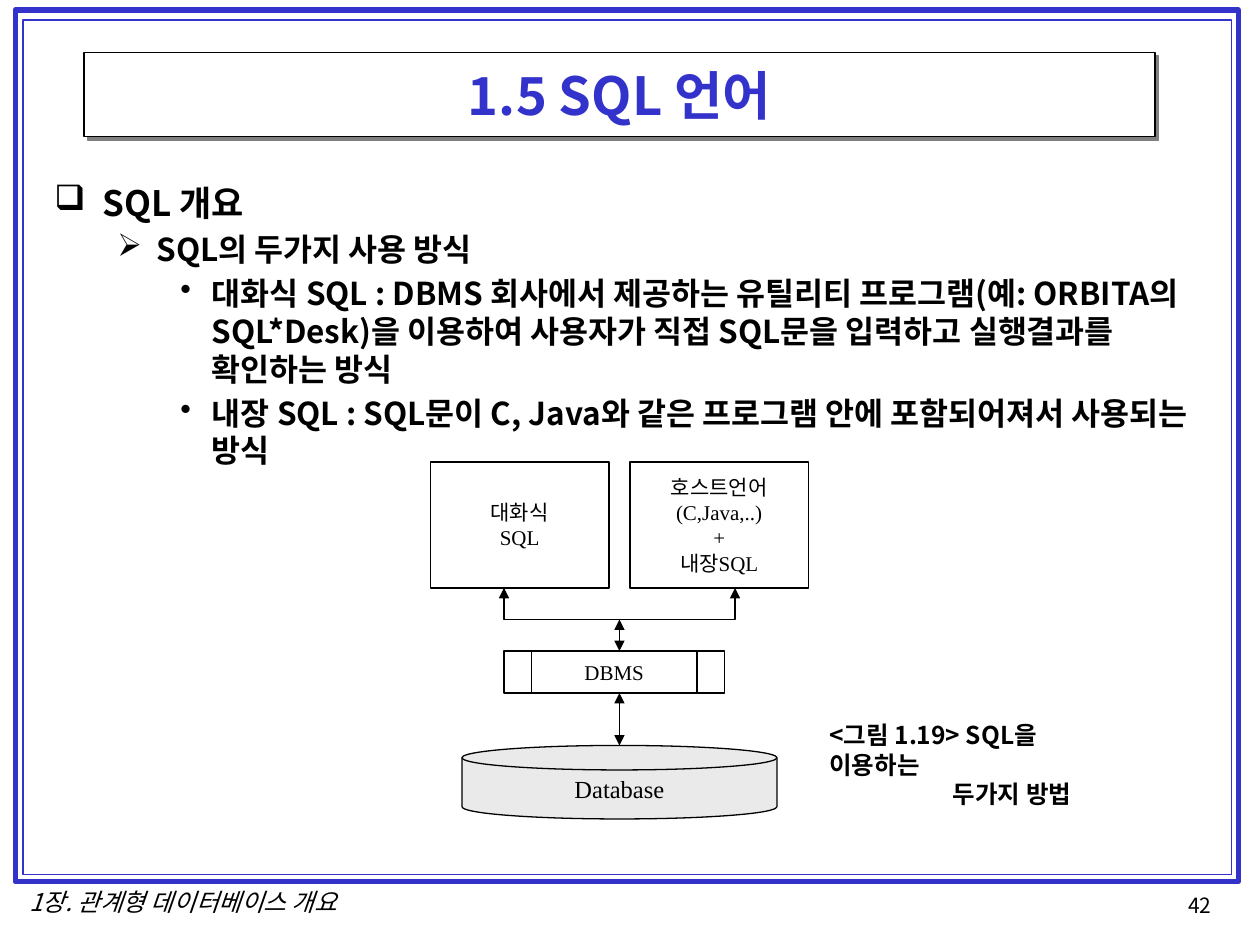
from dataclasses import dataclass
from typing import NamedTuple

from lxml.etree import SubElement
from pptx import Presentation
from pptx.dml.color import RGBColor
from pptx.enum.shapes import MSO_CONNECTOR as Link, MSO_SHAPE as Kind
from pptx.enum.text import MSO_ANCHOR as Anchor, PP_ALIGN as Align
from pptx.oxml.ns import qn
from pptx.util import Emu, Inches, Pt

UNIT = Inches(10) // 120  # the slide is a grid of 120 columns by 90 rows


@dataclass(frozen=True)
class Theme:
    blue: str = "3333CC"
    black: str = "000000"
    white: str = "FFFFFF"
    pale: str = "EAEAEA"
    gray: str = "808080"
    sans: str = "Noto Sans CJK KR"
    serif: str = "Times New Roman"
    title: int = 30
    head: int = 20
    body: int = 18
    note: int = 14
    small: int = 12
    thin: float = 0.75


T = Theme()


class Area(NamedTuple):
    col: float
    row: float
    cols: float
    rows: float


class Font(NamedTuple):
    size: int
    name: str = T.sans
    color: str = T.black
    bold: bool = False
    slant: bool = False


class Box(NamedTuple):
    kind: Kind
    area: Area
    text: str = ""
    font: Font = Font(T.small, T.serif)
    fill: str = ""
    line: str = T.black
    width: float = T.thin


class Point(NamedTuple):
    text: str
    level: int
    mark: str
    left: float
    hang: float
    size: int


FRAMES = [
    Box(Kind.RECTANGLE, Area(1.44, 0.96, 116.5, 83), line=T.blue, width=3),
    Box(Kind.RECTANGLE, Area(2.2, 1.9, 115.1, 81.4), line=T.blue, width=1),
]
TITLE = Box(Kind.RECTANGLE, Area(8, 5, 102, 8), "1.5 SQL 언어",
            Font(T.title, color=T.blue, bold=True), T.white)
NODES = [
    Box(Kind.RECTANGLE, Area(41, 44, 17, 12), "대화식\nSQL", fill=T.white),
    Box(Kind.RECTANGLE, Area(60, 44, 17, 12),
        "호스트언어\n(C,Java,..)\n+\n내장SQL", fill=T.white),
    Box(Kind.FLOWCHART_PREDEFINED_PROCESS, Area(48, 62, 21, 4), "DBMS"),
    Box(Kind.FLOWCHART_MAGNETIC_DISK, Area(44, 71, 30, 7), "Database",
        Font(T.note, T.serif), T.pale),
]
POINTS = [
    Point("SQL 개요", 0, "❑", 0.38, 0.38, T.head),
    Point("SQL의 두가지 사용 방식", 1, "➢", 0.81, 0.31, T.body),
    Point("대화식 SQL : DBMS 회사에서 제공하는 유틸리티 프로그램(예: ORBITA의 "
          "SQL*Desk)을 이용하여 사용자가 직접 SQL문을 입력하고 실행결과를 확인하는 방식",
          2, "•", 1.25, 0.25, T.body),
    Point("내장 SQL : SQL문이 C, Java와 같은 프로그램 안에 포함되어져서 사용되는 방식",
          2, "•", 1.25, 0.25, T.body),
]
FORK = [(48, 56), (48, 61 - 2), (70, 61 - 2), (70, 56)]
ARROWS = [(59, 66, 71), (59, 59, 62)]  # column, first row, last row


def grid(*cells: float) -> list[Emu]:
    return [Emu(round(cell * UNIT)) for cell in cells]


def style(para, font: Font) -> None:
    for run in para.runs:
        face = run.font
        face.size, face.name = Pt(font.size), font.name
        face.bold, face.italic = font.bold, font.slant
        face.color.rgb = RGBColor.from_string(font.color)
        SubElement(run._r.rPr, qn("a:ea"), typeface=T.sans)


def stroke(line, color: str = T.black, width: float = T.thin) -> None:
    line.color.rgb = RGBColor.from_string(color)
    line.width = Pt(width)


def tip(shape) -> None:
    """Put a triangle on both ends of a line."""
    stroke(shape.line)
    line = shape.line._get_or_add_ln()
    for end in ("a:headEnd", "a:tailEnd"):
        SubElement(line, qn(end), type="triangle")


def draw(slide, box: Box):
    shape = slide.shapes.add_shape(box.kind, *grid(*box.area))
    shape.shadow.inherit = False
    if box.fill:
        shape.fill.solid()
        shape.fill.fore_color.rgb = RGBColor.from_string(box.fill)
    else:
        shape.fill.background()
    stroke(shape.line, box.line, box.width)
    if box.text:
        frame = shape.text_frame
        frame.text = box.text
        frame.word_wrap = False
        frame.vertical_anchor = Anchor.MIDDLE
        for para in frame.paragraphs:
            para.alignment = Align.CENTER
            style(para, box.font)
    return shape


def shade(shape) -> None:
    """Give the shape a hard shadow to the lower right."""
    glow = SubElement(shape._element.spPr.find(qn("a:effectLst")),
                      qn("a:outerShdw"), dist=str(Pt(2.8)),
                      dir=str(45 * 60000), algn="ctr", rotWithShape="0")
    SubElement(glow, qn("a:srgbClr"), val=T.gray)


def label(slide, area: Area, text: str, font: Font,
          align: Align = Align.LEFT, wrap: bool = False):
    frame = slide.shapes.add_textbox(*grid(*area)).text_frame
    frame.text = text
    frame.word_wrap = wrap
    for para in frame.paragraphs:
        para.alignment = align
        style(para, font)
    return frame


def outline(slide, area: Area, points: list[Point]) -> None:
    text = "\n".join(point.text for point in points)
    frame = label(slide, area, text, Font(T.body, bold=True), wrap=True)
    for para, point in zip(frame.paragraphs, points):
        para.level = point.level
        props = para._p.get_or_add_pPr()
        props.set("marL", str(Inches(point.left)))
        props.set("indent", str(-Inches(point.hang)))
        SubElement(props, qn("a:buChar"), char=point.mark)
        if point is not points[0]:
            para.space_before = Pt(0.2 * point.size)
        for run in para.runs:
            run.font.size = Pt(point.size)


def fork(slide, spots: list[tuple[float, float]]) -> None:
    start, *rest = [tuple(grid(*spot)) for spot in spots]
    pen = slide.shapes.build_freeform(*start)
    pen.add_line_segments(rest, close=False)
    shape = pen.convert_to_shape()
    shape.shadow.inherit = False
    shape.fill.background()
    tip(shape)


def arrow(slide, col: float, top: float, end: float) -> None:
    line = slide.shapes.add_connector(Link.STRAIGHT, *grid(col, top, col, end))
    tip(line)
    SubElement(line._element.spPr, qn("a:effectLst"))


def main() -> None:
    deck = Presentation()
    deck.slide_width, deck.slide_height = grid(120, 90)
    slide = deck.slides.add_slide(deck.slide_layouts[6])

    label(slide, Area(112, 84.4, 5.3, 3.6), "42", Font(T.small))
    label(slide, Area(0, 83.9, 34.9, 4), "1장. 관계형 데이터베이스 개요",
          Font(T.note, slant=True), Align.CENTER)
    for box in FRAMES:
        draw(slide, box)
    shade(draw(slide, TITLE))
    outline(slide, Area(4, 16.7, 112, 58), POINTS)
    for box in NODES:
        draw(slide, box)
    fork(slide, FORK)
    for col, top, end in ARROWS:
        arrow(slide, col, top, end)
    note = label(slide, Area(77.8, 68, 32.9, 6.8),
                 "<그림 1.19> SQL을 이용하는\n두가지 방법",
                 Font(T.note, bold=True), wrap=True)
    note.margin_right = Inches(0.3)
    note.paragraphs[1]._p.get_or_add_pPr().set("marL", str(Inches(0.98)))
    deck.save("out.pptx")


if __name__ == "__main__":
    main()
